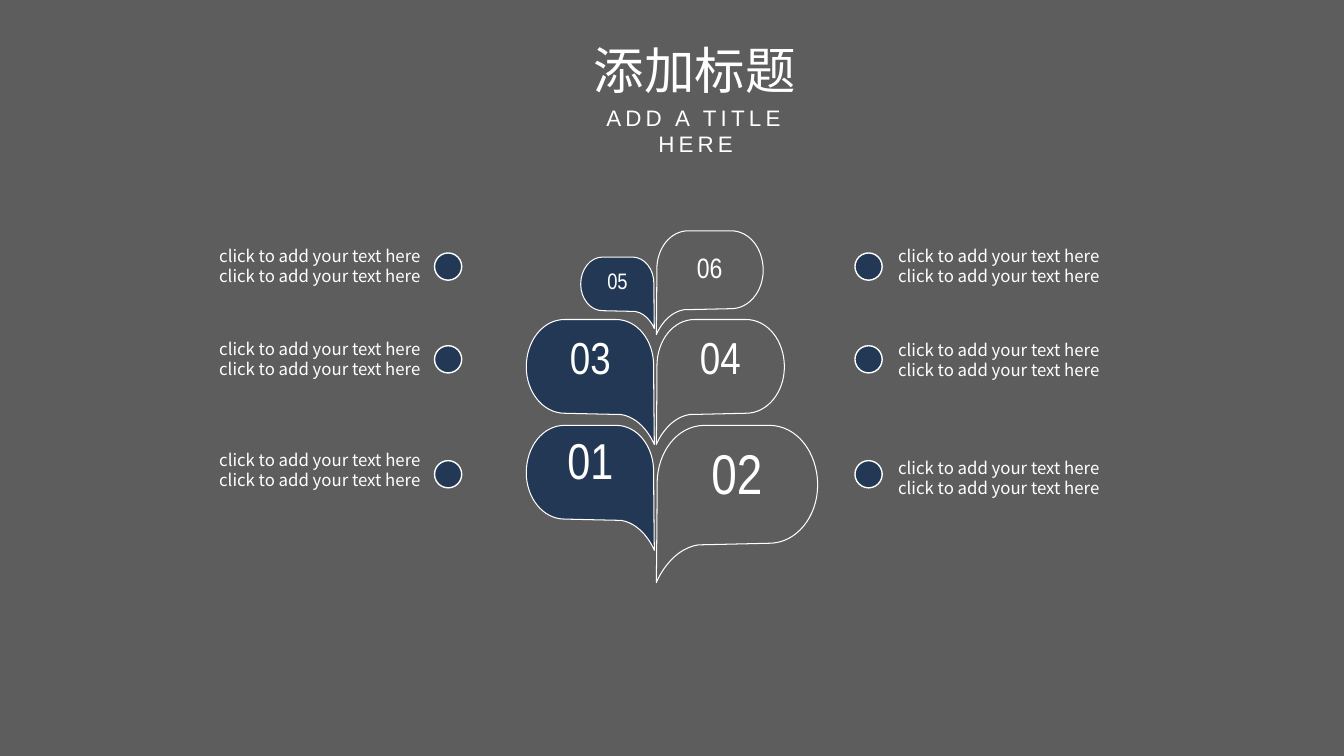
from dataclasses import dataclass

from lxml import etree
from pptx import Presentation
from pptx import util as u
from pptx.dml.color import RGBColor
from pptx.enum import shapes, text
from pptx.oxml.ns import qn

PX = 9144  # EMU, 100 px to the inch
WHITE, NAVY, GREY = "FFFFFF", "223855", "5D5D5D"
CJK, LATIN, NARROW = "Noto Sans CJK SC", "Arial", "Arial Narrow"
LEFT, CENTER, RIGHT = text.PP_ALIGN.LEFT, text.PP_ALIGN.CENTER, text.PP_ALIGN.RIGHT
CAPTION = "click to add your text here click to add your text here"
STEM_LEFT, STEM_RIGHT = 649, 651
DOT = 27

# Right-hand leaf in percent of its width and height: a start, then Bézier triples
LEAF_START = (70, 0)
LEAF_CURVES = [
    (30, 0), (30, 0), (30, 0),
    (13, 0), (0.5, 17), (0.5, 37),
    (0.5, 58), (0, 100), (0, 100),
    (0, 100), (8, 79), (26, 76),
    (28, 76), (70, 75), (70, 75),
    (87, 75), (100, 58), (100, 38),
    (100, 17), (87, 0), (70, 0),
]


@dataclass
class Leaf:
    label: str
    top: int
    width: int
    height: int
    size: int
    on_left: bool


@dataclass
class Caption:
    left: int
    top: int
    align: text.PP_ALIGN
    dot_left: int
    dot_top: int


LEAVES = [
    Leaf("05", 255, 73, 71, 16, True),
    Leaf("03", 317, 127, 124, 32, True),
    Leaf("01", 422, 127, 124, 36, True),
    Leaf("02", 422, 160, 156, 40, False),
    Leaf("06", 229, 106, 103, 20, False),
    Leaf("04", 317, 127, 124, 32, False),
]

# Text top on the left, text top on the right, dot top
ROWS = [(239, 239, 251), (331, 332, 343), (441, 449, 457)]
CAPTIONS = [Caption(182, left_top, RIGHT, 431, dot) for left_top, _, dot in ROWS]
CAPTIONS += [Caption(881, right_top, LEFT, 848, dot) for _, right_top, dot in ROWS]


def px(*lengths: int) -> list[u.Emu]:
    return [u.Emu(length * PX) for length in lengths]


def paint(color_format, color: str) -> None:
    color_format.rgb = RGBColor.from_string(color)


def style(shape, fill: str | None, line_width: float) -> None:
    shape.shadow.inherit = False
    if fill:
        shape.fill.solid()
        paint(shape.fill.fore_color, fill)
    else:
        shape.fill.background()
    paint(shape.line.color, WHITE)
    shape.line.width = u.Pt(line_width)


def write(box, words: str, size: int, font: str, align, spacing: int = 0) -> None:
    para = box.text_frame.paragraphs[0]
    para.text = words
    para.alignment = align
    para.font.size = u.Pt(size)
    para.font.name = font
    paint(para.font.color, WHITE)
    properties = para._p.pPr.find(qn("a:defRPr"))
    etree.SubElement(properties, qn("a:ea")).set("typeface", font)
    if spacing:
        properties.set("spc", str(spacing * 100))


def add_text(page, area: tuple, words: str, size: int, font: str, align, spacing: int = 0):
    box = page.shapes.add_textbox(*px(*area))
    box.text_frame.word_wrap = True
    box.text_frame.auto_size = text.MSO_AUTO_SIZE.SHAPE_TO_FIT_TEXT
    write(box, words, size, font, align, spacing)


def bend(shape) -> None:
    """Turn every three straight segments into one Bézier curve."""
    path = shape._element.find(".//" + qn("a:path"))
    segments = path.findall(qn("a:lnTo"))
    for start in range(0, len(segments), 3):
        curve = etree.Element(qn("a:cubicBezTo"))
        segments[start].addprevious(curve)
        for segment in segments[start:start + 3]:
            curve.append(segment[0])
            path.remove(segment)


def add_leaf(page, leaf: Leaf) -> None:
    stem, side = (STEM_LEFT, -1) if leaf.on_left else (STEM_RIGHT, 1)

    def place(point: tuple) -> tuple:
        x, y = point
        return (round((stem + side * x * leaf.width / 100) * PX),
                round((leaf.top + y * leaf.height / 100) * PX))

    builder = page.shapes.build_freeform(*place(LEAF_START), scale=1.0)
    builder.add_line_segments([place(point) for point in LEAF_CURVES], close=True)
    shape = builder.convert_to_shape()
    bend(shape)
    style(shape, NAVY if leaf.on_left else None, 0.75)

    # The number sits half a line above the middle
    frame = shape.text_frame
    frame.vertical_anchor = text.MSO_ANCHOR.MIDDLE
    frame.margin_left, frame.margin_right, frame.margin_top = px(7, 7, 4)
    frame.margin_bottom = frame.margin_top + u.Pt(leaf.size * 1.13)
    write(shape, leaf.label, leaf.size, NARROW, CENTER)


def add_dot(page, caption: Caption) -> None:
    area = px(caption.dot_left, caption.dot_top, DOT, DOT)
    style(page.shapes.add_shape(shapes.MSO_SHAPE.OVAL, *area), NAVY, 1)


def main() -> None:
    deck = Presentation()
    deck.slide_width, deck.slide_height = px(1333, 750)
    page = deck.slides.add_slide(deck.slide_layouts[5])
    page.background.fill.solid()
    paint(page.background.fill.fore_color, GREY)

    # Heading
    title = page.shapes.title
    title.left, title.top, title.width, title.height = px(578, 34, 222, 71)
    title.text_frame.word_wrap = False
    title.text_frame.auto_size = text.MSO_AUTO_SIZE.SHAPE_TO_FIT_TEXT
    title.text_frame.vertical_anchor = text.MSO_ANCHOR.TOP
    write(title, "添加标题", 36, CJK, CENTER)
    add_text(page, (558, 98, 264, 37), "ADD A TITLE HERE", 16, LATIN, CENTER, spacing=3)

    # Plant
    for leaf in LEAVES:
        add_leaf(page, leaf)

    # Captions and their dots
    for caption in CAPTIONS:
        add_text(page, (caption.left, caption.top, 245, 50), CAPTION, 12, CJK, caption.align)
    for caption in CAPTIONS:
        add_dot(page, caption)

    deck.save("out.pptx")


if __name__ == "__main__":
    main()
